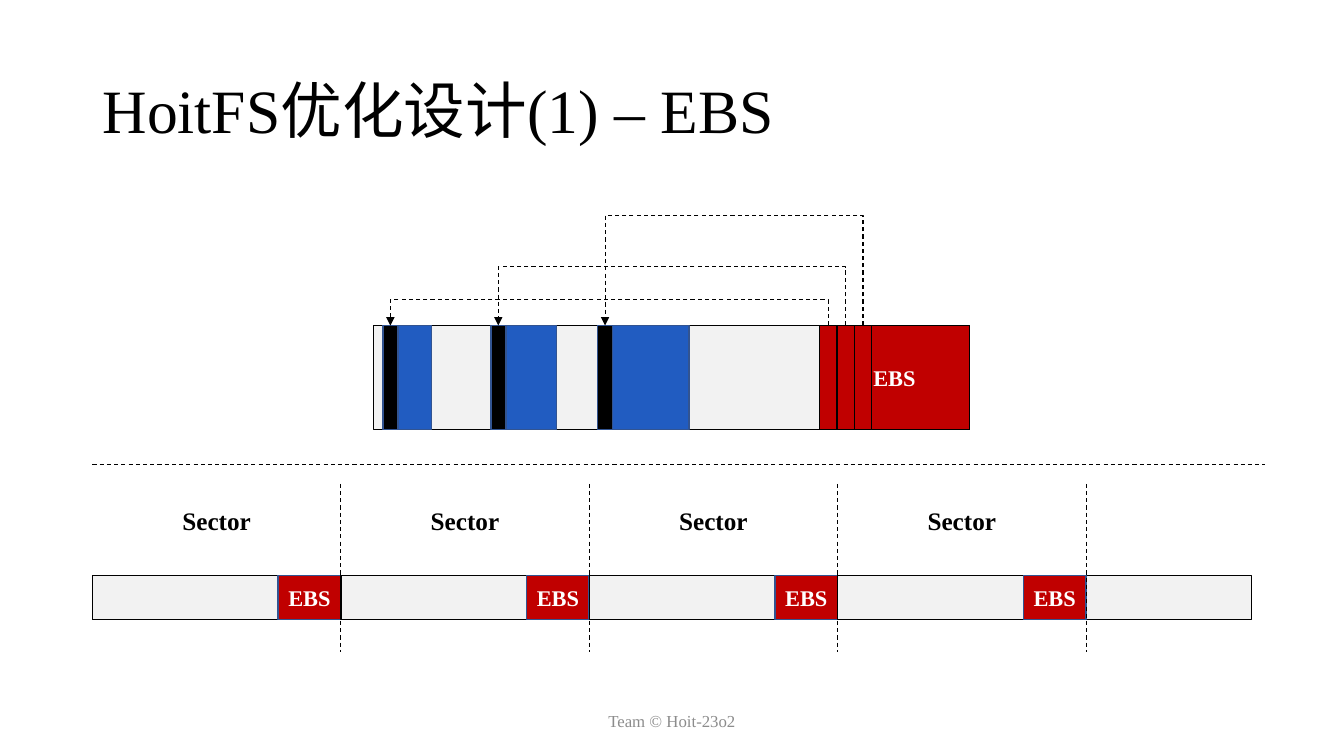
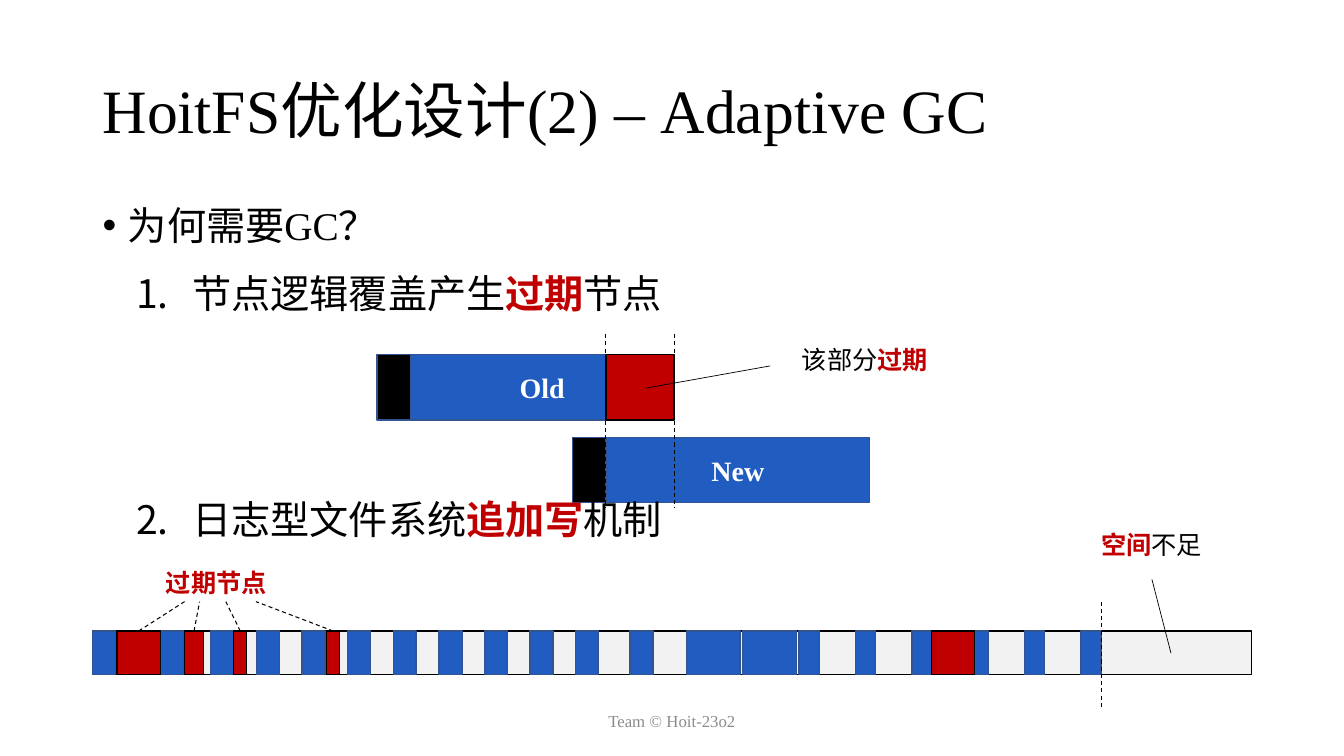
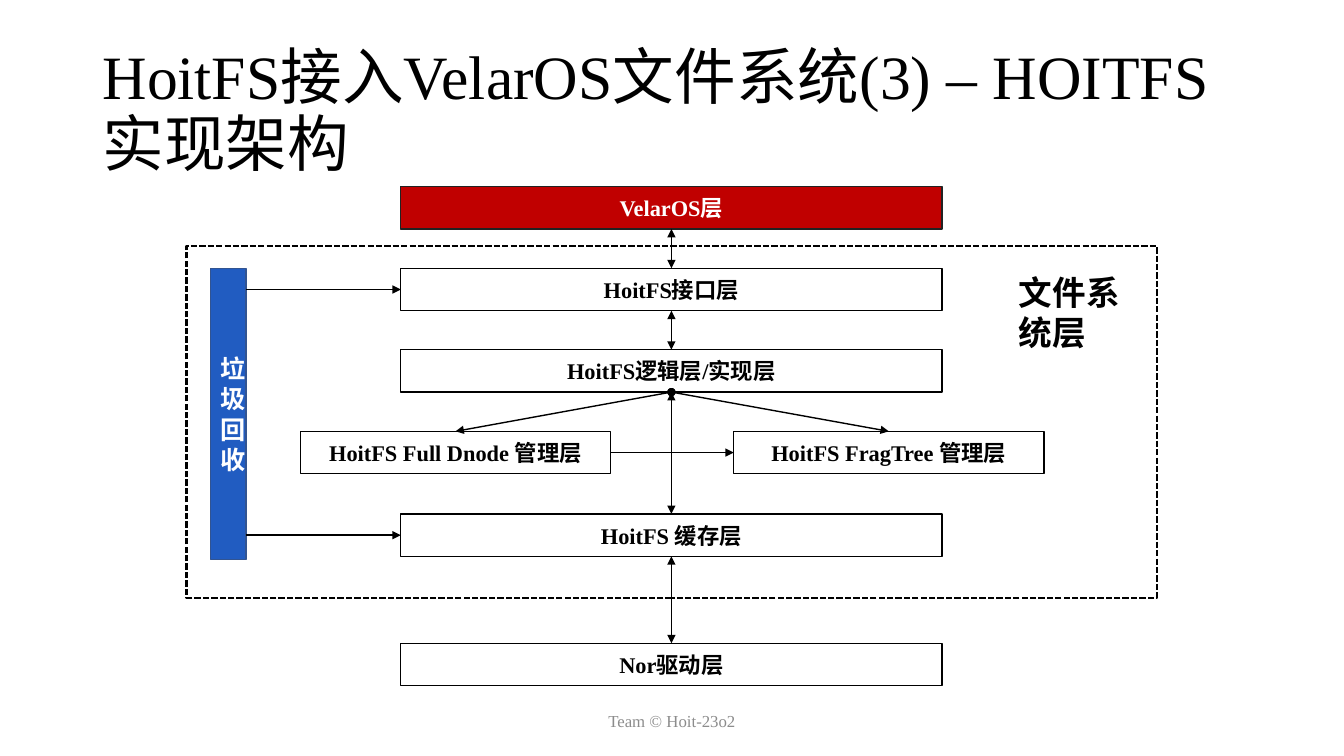
from pptx import Presentation
from pptx.util import Cm, Pt
from pptx.dml.color import RGBColor
from pptx.enum import dml, shapes, text
from pptx.oxml.ns import qn
from lxml import etree

COLORS = {
    "black": "000000", "white": "FFFFFF", "grey": "F2F2F2", "footer": "8C8C8C",
    "red": "C00000", "blue": "215CC1", "edge": "325491", "dark": "222222",
}
LATIN, CJK = "Times New Roman", "Noto Sans CJK SC"
LEFT, CENTER = text.PP_ALIGN.LEFT, text.PP_ALIGN.CENTER
TOP, MIDDLE = text.MSO_ANCHOR.TOP, text.MSO_ANCHOR.MIDDLE
DASH, SYS_DASH = dml.MSO_LINE.DASH, dml.MSO_LINE.SQUARE_DOT
TITLE_ONLY, TITLE_BODY = 5, 1
MARGIN, WIDTH = 2.33, 29.21


def rgb(name):
    return RGBColor.from_string(COLORS[name])


def sub(parent, tag, **attrs):
    return etree.SubElement(parent, qn(tag), attrs)


class Deck:
    """Style of the deck and the slide being drawn."""

    def __init__(self):
        self.prs = Presentation()
        self.prs.slide_width, self.prs.slide_height = Cm(33.87), Cm(19.05)
        self.s = None

    def slide(self, title, layout=TITLE_ONLY):
        self.s = self.prs.slides.add_slide(self.prs.slide_layouts[layout])
        tf = self.place(self.s.shapes.title, 1.01, 3.68, MIDDLE)
        self.add_runs(tf.paragraphs[0], [(title, "black", False)], 44).line_spacing = 0.9
        self.note(11.22, 17.66, 11.43, [("Team © Hoit-23o2", "footer", False)],
                  size=12, font=LATIN, align=CENTER, anchor=MIDDLE)

    def place(self, sp, y, h, anchor):
        """Move a placeholder into the content column."""
        sp.left, sp.top, sp.width, sp.height = Cm(MARGIN), Cm(y), Cm(WIDTH), Cm(h)
        tf = sp.text_frame
        tf.auto_size, tf.vertical_anchor = text.MSO_AUTO_SIZE.NONE, anchor
        return tf

    def add_runs(self, p, runs, size, font=LATIN, align=LEFT):
        """Add (text, colour, bold) runs to a paragraph."""
        p.alignment = align
        for words, color, bold in runs:
            r = p.add_run()
            r.text = words
            r.font.size, r.font.bold, r.font.name = Pt(size), bold, font
            r.font.color.rgb = rgb(color)
            sub(r.font._element, "a:ea", typeface=CJK)
        return p

    def bullet(self, p, indent, number=False):
        pPr = p._p.get_or_add_pPr()
        pPr.set("marL", str(Cm(indent)))
        pPr.set("indent", str(-Cm(indent)))
        if number:
            sub(pPr, "a:buFont", typeface=CJK)
            sub(pPr, "a:buAutoNum", type="arabicPeriod")
        else:
            sub(pPr, "a:buChar", char="•")

    def textbox(self, x, y, w, h, anchor=TOP):
        tf = self.s.shapes.add_textbox(Cm(x), Cm(y), Cm(w), Cm(h)).text_frame
        tf.word_wrap, tf.vertical_anchor = True, anchor
        return tf

    def note(self, x, y, w, runs, size=18, font=CJK, align=LEFT, anchor=TOP):
        tf = self.textbox(x, y, w, 1.01, anchor)
        self.add_runs(tf.paragraphs[0], runs, size, font, align)

    def box(self, x, y, w, h, fill, line="black", label=None, size=16,
            color="white", font=LATIN, inset=0.25, width=1, dash=None):
        sp = self.s.shapes.add_shape(shapes.MSO_SHAPE.RECTANGLE,
                                     Cm(x), Cm(y), Cm(w), Cm(h))
        sp.shadow.inherit = False
        if fill:
            sp.fill.solid()
            sp.fill.fore_color.rgb = rgb(fill)
        else:
            sp.fill.background()
        sp.line.color.rgb, sp.line.width = rgb(line), Pt(width)
        if dash:
            sp.line.dash_style = dash
        if label:
            tf = sp.text_frame
            tf.word_wrap, tf.vertical_anchor = True, MIDDLE
            tf.margin_left = tf.margin_right = Cm(inset)
            self.add_runs(tf.paragraphs[0], [(label, color, True)], size, font, CENTER)
        return sp

    def line(self, start, end, width=0.75, dash=None, head=None, tail=None,
             kind=shapes.MSO_CONNECTOR.STRAIGHT):
        """Join two ends, each an (x, y) point or a (shape, side) pair."""
        joined = [not isinstance(e[0], (int, float)) for e in (start, end)]
        points = [(0, 0) if j else e for j, e in zip(joined, (start, end))]
        c = self.s.shapes.add_connector(kind, *[Cm(v) for pt in points for v in pt])
        if joined[0]:
            c.begin_connect(*start)
        if joined[1]:
            c.end_connect(*end)
        c.line.color.rgb, c.line.width = rgb("black"), Pt(width)
        if dash:
            c.line.dash_style = dash
        ln = c.line._get_or_add_ln()
        for tag, shape in (("a:headEnd", head), ("a:tailEnd", tail)):
            if shape:
                sub(ln, tag, type=shape)
        sub(c._element.spPr, "a:effectLst")
        return c

    def arch(self, source, target, rise):
        """Dashed arrow from top to top, climbing by rise."""
        c = self.line((source, 0), (target, 0), dash=DASH, tail="triangle",
                      kind=shapes.MSO_CONNECTOR.ELBOW)
        x1, x2 = (sp.left + sp.width // 2 for sp in (target, source))
        thin, span = Cm(0.01), x2 - x1
        # A thin upright frame, turned a quarter back
        c.left, c.top = (x1 + x2 - thin) // 2, source.top - span // 2
        c.width, c.height = thin, span
        spPr = c._element.spPr
        xfrm = spPr.find(qn("a:xfrm"))
        for key, value in (("rot", "16200000"), ("flipH", "1"), ("flipV", "1")):
            xfrm.set(key, value)
        guides = spPr.find(qn("a:prstGeom")).find(qn("a:avLst"))
        adj = -round(Cm(rise) / thin * 100000)
        sub(guides, "a:gd", name="adj1", fmla=f"val {adj}")

    def strip(self, y):
        self.box(MARGIN, y, WIDTH, 1.1, "grey")

    def node(self, x, y, w, h, mark, label=None):
        """Data block with a black header on its left."""
        self.box(x + mark, y, w, h, "blue", "edge", label, 20)
        return self.box(x, y, mark, h, "black", "edge")


def ebs_slide(d):
    d.slide("HoitFS优化设计(1) – EBS")
    # Sectors
    y, sector, ebs = 14.51, 6.26, 1.58
    d.strip(y)
    for i in range(4):
        x = MARGIN + i * sector
        right = x + sector
        d.box(x, y, sector, 1.1, "grey")
        d.box(right - ebs, y, ebs, 1.1, "red", "edge", "EBS", inset=0)
        d.line((right, 12.19), (right, 16.43), dash=DASH)
        d.note(x + (sector - 3.35) / 2, 12.62, 3.35, [("Sector", "black", True)],
               font=LATIN, align=CENTER)
    d.line((MARGIN, 11.71), (31.88, 11.71), dash=DASH)
    # One sector enlarged
    top, h, cell = 8.2, 2.62, 0.44
    d.box(9.42, top, 15.01, h, "grey")
    d.box(20.65, top, 3.78, h, "red", label="EBS")
    cells = [d.box(20.65 + i * cell, top, cell, h, "red") for i in range(3)]
    marks = [d.node(x, top, w, h, 0.38)
             for x, w in ((9.65, 0.84), (12.37, 1.27), (15.06, 1.93))]
    for source, target, rise in zip(cells, marks, (0.64, 1.47, 2.77)):
        d.arch(source, target, rise)


def gc_slide(d):
    d.slide("HoitFS优化设计(2) – Adaptive GC", TITLE_BODY)
    tf = d.place(d.s.placeholders[1], 5.08, 12.09, TOP)
    p = d.add_runs(tf.paragraphs[0], [("为何需要GC？", "black", False)], 28)
    p.line_spacing, p.space_before = 0.9, Pt(10)
    d.bullet(p, 0.64)
    # Old and new node
    d.node(9.5, 8.94, 6.65, 1.65, 0.84, "Old")
    d.node(14.43, 11.02, 6.65, 1.65, 0.84, "New")
    for x in (15.27, 16.99):
        d.line((x, 8.42), (x, 12.79), dash=DASH)
    d.note(19.96, 8.56, 3.84, [("该部分", "black", False), ("过期", "red", True)])
    d.box(15.27, 8.94, 1.72, 1.65, "red")
    d.line((16.28, 9.78), (19.41, 9.22), width=0.5)
    # Log strip
    y, h = 15.9, 1.1
    d.strip(y)
    valid = [(x, 0.58) for x in (2.33, 4.04, 15.88)]
    valid += [(5.31 + 1.15 * i, 0.58) for i in range(9)]
    valid += [(17.3 + 1.42 * i, 1.35 if i < 2 else 0.51) for i in range(8)]
    for x, w in valid:
        d.box(x, y, w, h, "blue", "edge")
    expired = [d.box(x, y, w, h, "red") for x, w in
               ((2.95, 1.09), (4.65, 0.48), (5.89, 0.33), (8.23, 0.33), (23.47, 1.09))]
    d.line((27.76, 15.16), (27.76, 17.86), dash=DASH)
    d.line((29.51, 16.46), (29.03, 14.6), width=0.5)
    d.note(27.1, 13.21, 3.84, [("空间", "red", True), ("不足", "black", False)],
           align=CENTER)
    for sp, x in zip(expired, (4.65, 5.03, 5.69, 6.45)):
        d.line((sp, 0), (x, 15.16), dash=DASH)
    d.note(3.53, 14.17, 3.84, [("过期节点", "red", True)], align=CENTER)
    # Numbered reasons, with room for the node drawing between them
    tf = d.textbox(3.18, 6.65, 16.94, 7.44)
    reasons = (("节点逻辑覆盖产生", "过期", "节点", 0),
               ("日志型文件系统", "追加写", "机制", 128))
    for i, (before, key, after, gap) in enumerate(reasons):
        p = tf.add_paragraph() if i else tf.paragraphs[0]
        d.add_runs(p, [(before, "black", False), (key, "red", True),
                       (after, "black", False)], 28)
        p.space_before = Pt(gap)
        d.bullet(p, 1.42, number=True)


def layers_slide(d):
    d.slide("HoitFS接入VelarOS文件系统(3) – HOITFS实现架构")
    # Layers
    x, wide, half, h = 10.1, 13.64, 7.82, 1.07

    def layer(label, y, left=x, w=wide):
        return d.box(left, y, w, h, "white", label=label, color="black")

    gc = d.box(5.31, 6.76, 0.89, 7.34, "blue", "edge", "垃圾回收", 18, font=CJK)
    system = d.box(x, 4.7, wide, h, "red", "dark", "VelarOS层")
    api = layer("HoitFS接口层", 6.76)
    logic = layer("HoitFS逻辑层/实现层", 8.81)
    dnode = layer("HoitFS Full Dnode 管理层", 10.87, 7.57, half)
    tree = layer("HoitFS FragTree 管理层", 10.87, 18.49, half)
    cache = layer("HoitFS 缓存层", 12.95)
    driver = layer("Nor驱动层", 16.21)
    # Arrows
    for upper, lower in ((system, api), (api, logic), (logic, cache), (cache, driver)):
        d.line((upper, 2), (lower, 0), 1, head="triangle", tail="triangle")
    for child in (dnode, tree):
        d.line((logic, 2), (child, 0), 1, head="oval", tail="triangle")
    d.line((dnode, 3), (tree, 1), 1, tail="triangle")
    gc_right = (gc.left + gc.width) / Cm(1)
    for target in (api, cache):
        middle = (target.top + target.height / 2) / Cm(1)
        d.line((gc_right, middle), (target, 1), 1, tail="triangle")
    # File system frame
    d.box(4.7, 6.2, 24.46, 8.86, None, width=1.5, dash=SYS_DASH)
    d.note(25.43, 6.73, 3.68, [("文件系统层", "black", True)], size=24)


def main():
    d = Deck()
    ebs_slide(d)
    gc_slide(d)
    layers_slide(d)
    d.prs.save("out.pptx")


if __name__ == "__main__":
    main()
